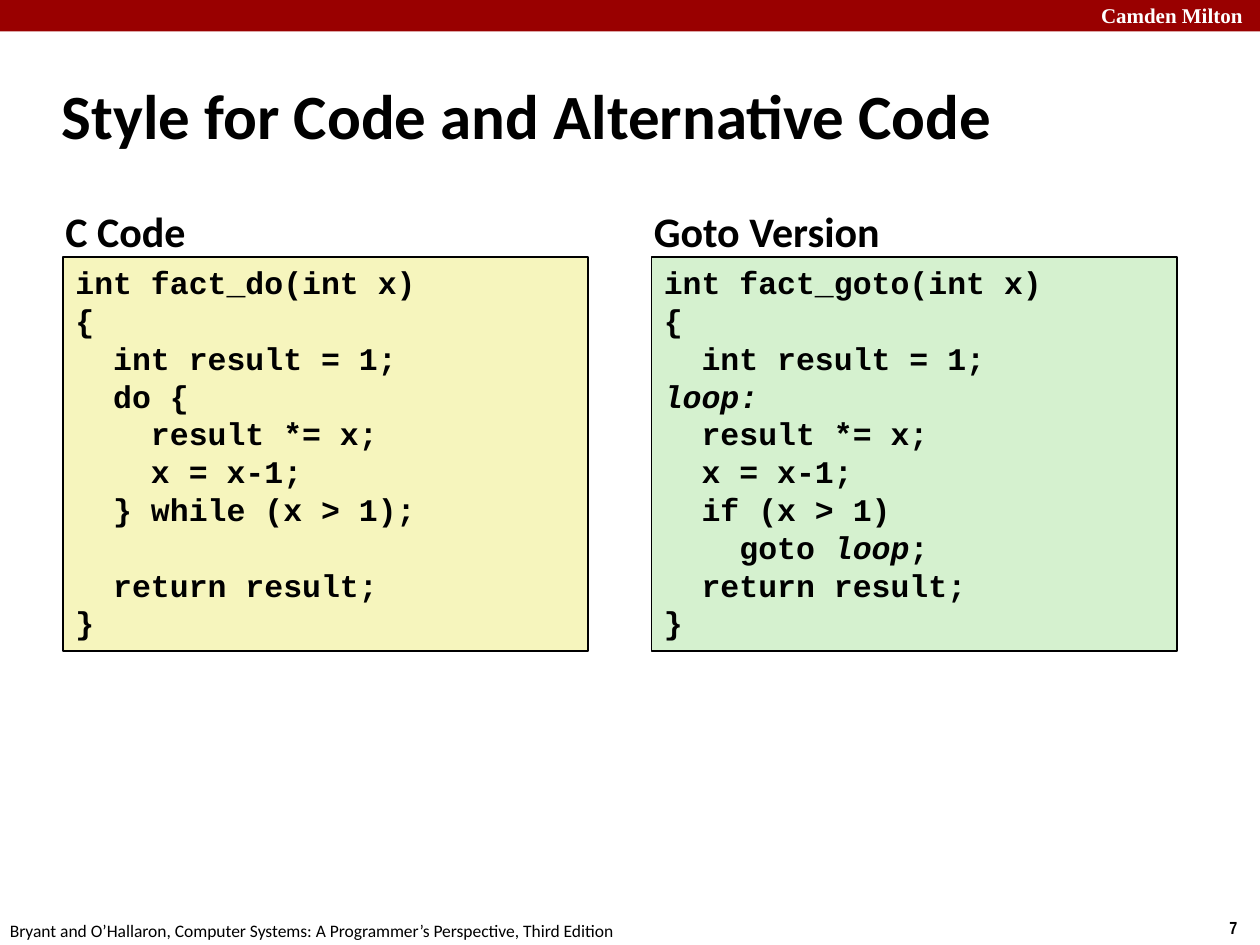
from dataclasses import dataclass

from pptx import Presentation
from pptx.dml.color import RGBColor
from pptx.enum.shapes import MSO_SHAPE
from pptx.enum.text import MSO_ANCHOR, PP_ALIGN
from pptx.util import Inches, Pt

RECTANGLE = MSO_SHAPE.RECTANGLE
LEFT = PP_ALIGN.LEFT
TOP, MIDDLE = MSO_ANCHOR.TOP, MSO_ANCHOR.MIDDLE


@dataclass(frozen=True)
class Theme:
    """Colours and text formats of the deck."""

    bar: RGBColor = RGBColor(0x99, 0x00, 0x00)
    white: RGBColor = RGBColor(0xFF, 0xFF, 0xFF)
    black: RGBColor = RGBColor(0x00, 0x00, 0x00)
    yellow: RGBColor = RGBColor(0xF6, 0xF5, 0xBD)
    green: RGBColor = RGBColor(0xD5, 0xF1, 0xCF)

    def text_format(self, role):
        """Return the font values for a text role."""
        name, size, bold = {
            "title": ("Calibri", 36, True),
            "heading": ("Calibri", 24, True),
            "code": ("Courier New", 18, True),
            "school": ("Times New Roman", 12, True),
            "number": ("Arial Narrow", 10, True),
            "source": ("Calibri", 10, False),
        }[role]
        return {"name": name, "size": Pt(size), "bold": bold}


THEME = Theme()

C_CODE = [
    ("int fact_do(int x)",),
    ("{",),
    ("  int result = 1;",),
    ("  do {",),
    ("    result *= x;",),
    ("    x = x-1;",),
    ("  } while (x > 1);",),
    ("",),
    ("  return result;",),
    ("}",),
]
GOTO_CODE = [
    ("int fact_goto(int x)",),
    ("{",),
    ("  int result = 1;",),
    ("", "loop:"),
    ("  result *= x;",),
    ("  x = x-1;",),
    ("  if (x > 1)",),
    ("    goto ", "loop", ";"),
    ("  return result;",),
    ("}",),
]


def write(shape, lines, role, color=THEME.black, anchor=TOP, wrap=True):
    """Write lines of spans into a shape, with every second span in italics."""
    frame = shape.text_frame
    frame.word_wrap = wrap
    frame.vertical_anchor = anchor
    for index, spans in enumerate(lines):
        para = frame.add_paragraph() if index else frame.paragraphs[0]
        para.alignment = LEFT
        for position, text in enumerate(spans):
            span = para.add_run()
            span.text = text
            values = THEME.text_format(role) | {"italic": position % 2 == 1}
            for key, value in values.items():
                setattr(span.font, key, value)
            span.font.color.rgb = color


def add_label(page, box, text, role, color=THEME.black, wrap=False):
    """Add a one-line text box."""
    label = page.shapes.add_textbox(*map(Inches, box))
    write(label, [(text,)], role, color, wrap=wrap)


def add_panel(page, box, fill):
    """Add a filled rectangle without outline or shadow."""
    panel = page.shapes.add_shape(RECTANGLE, *map(Inches, box))
    panel.shadow.inherit = False
    panel.fill.solid()
    panel.fill.fore_color.rgb = fill
    panel.line.fill.background()
    return panel


def add_header(page, box):
    """Add the top bar with the school name."""
    left, top, width, height = box
    add_panel(page, box, THEME.bar)
    name_box = (left + width - 1.36, top - 0.03, 1.43, 0.3)
    add_label(page, name_box, "Camden Milton", "school", THEME.white, wrap=True)


def add_footer(page, box):
    """Add the book reference and the page number."""
    left, top, width, height = box
    number_box = (left + width - 0.34, top - 0.02, 0.34, height)
    add_label(page, number_box, "7", "number")
    book = ("Bryant and O’Hallaron, Computer Systems: "
            "A Programmer’s Perspective, Third Edition")
    add_label(page, (left - 0.02, top, 5.08, height), book, "source")


def add_title(page, box, text):
    """Place and fill the title placeholder."""
    title = page.shapes.title
    title.left, title.top, title.width, title.height = map(Inches, box)
    write(title, [(text,)], "title", anchor=MIDDLE)


def add_code_column(page, box, heading, lines, fill):
    """Add a heading above a framed code listing."""
    left, top, width, height = box
    heading_height = 0.46
    heading_box = (left - 0.08, top, 2.85, heading_height)
    add_label(page, heading_box, heading, "heading", wrap=True)
    code_box = (left, top + heading_height, width, height - heading_height)
    panel = add_panel(page, code_box, fill)
    panel.line.color.rgb = THEME.black
    panel.line.width = Pt(1)
    write(panel, lines, "code")


def build_page(deck):
    """Build the code comparison page."""
    page = deck.slides.add_slide(deck.slide_layouts[5])
    add_header(page, (0, 0, 10, 0.25))
    add_footer(page, (0, 7.25, 10, 0.27))
    add_title(page, (0.39, 0.49, 8.3, 0.83), "Style for Code and Alternative Code")
    columns = [
        ("C Code", C_CODE, THEME.yellow),
        ("Goto Version", GOTO_CODE, THEME.green),
    ]
    width, gap = 4.17, 0.5
    for index, column in enumerate(columns):
        left = 0.5 + index * (width + gap)
        add_code_column(page, (left, 1.58, width, 3.59), *column)


def main():
    """Create and save the deck."""
    deck = Presentation()
    deck.slide_width, deck.slide_height = Inches(10), Inches(7.5)
    build_page(deck)
    deck.save("out.pptx")


main()
